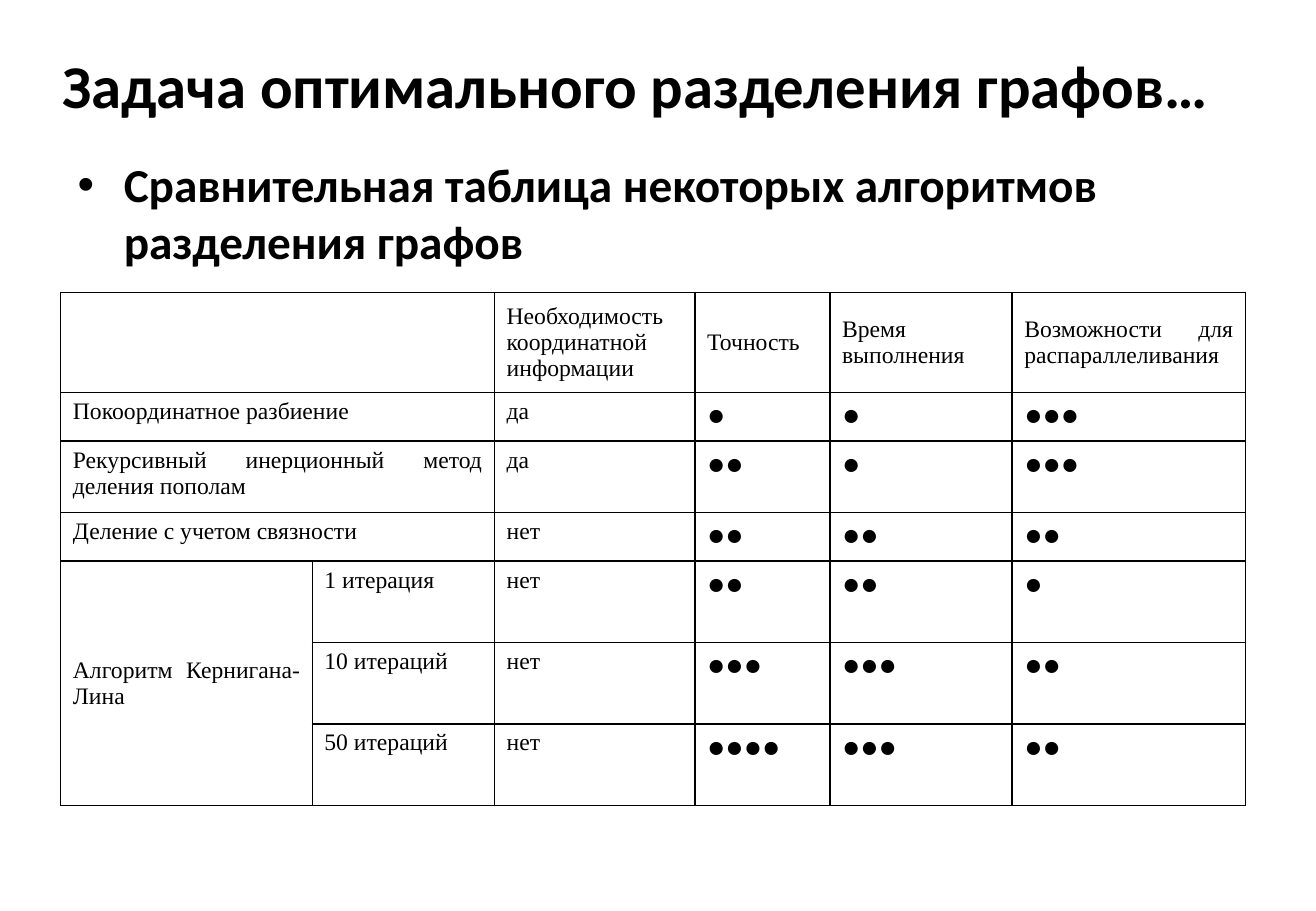
from lxml.etree import SubElement
from pptx import Presentation
from pptx.dml.color import RGBColor
from pptx.enum.text import MSO_ANCHOR, PP_ALIGN
from pptx.oxml.ns import qn
from pptx.util import Inches, Pt

COLORS = {"text": "000000", "border": "000000", "background": "FFFFFF"}
COL_WIDTHS = [2.07, 1.5, 1.65, 1.11, 1.5, 1.92]
ROW_HEIGHTS = [0.82, 0.39, 0.59, 0.39, 0.67, 0.67, 0.67]
HEADERS = ["", "", "Необходимость координатной информации", "Точность",
           "Время выполнения", "Возможности для распараллеливания"]
ALGORITHMS = [
    ("Покоординатное разбиение", "", "да", 1, 1, 3),
    ("Рекурсивный инерционный метод деления пополам", "", "да", 2, 1, 3),
    ("Деление с учетом связности", "", "нет", 2, 2, 2),
    ("Алгоритм Кернигана-Лина", "1 итерация", "нет", 2, 2, 1),
    ("", "10 итераций", "нет", 3, 3, 2),
    ("", "50 итераций", "нет", 4, 3, 2),
]


def add_run(p, text, size, font, bold=False):
    """Append a formatted run to a paragraph."""
    r = p.add_run()
    r.text = text
    r.font.size = Pt(size)
    r.font.name = font
    r.font.bold = bold
    r.font.color.rgb = RGBColor.from_string(COLORS["text"])


def add_text_box(s, box):
    """Add a wrapping text box and return its text frame."""
    tf = s.shapes.add_textbox(*map(Inches, box)).text_frame
    tf.word_wrap = True
    return tf


def add_title(s, box, text):
    """Add the centred slide title."""
    tf = add_text_box(s, box)
    tf.vertical_anchor = MSO_ANCHOR.MIDDLE
    p = tf.paragraphs[0]
    p.alignment = PP_ALIGN.CENTER
    add_run(p, text, 36, "Calibri", True)


def add_bullet(s, box, text):
    """Add the bulleted statement with a hanging indent."""
    p = add_text_box(s, box).paragraphs[0]
    add_run(p, text, 28, "Calibri", True)
    pPr = p._p.get_or_add_pPr()
    pPr.set("marL", str(Inches(0.38)))
    pPr.set("indent", str(Inches(-0.38)))
    SubElement(pPr, qn("a:buFont"), typeface="Arial")
    SubElement(pPr, qn("a:buChar"), char="•")


def style_cell(cell):
    """Give a cell thin borders on all sides and no fill."""
    tcPr = cell._tc.get_or_add_tcPr()
    for side in ("lnL", "lnR", "lnT", "lnB"):
        ln = SubElement(tcPr, qn(f"a:{side}"), w=str(Pt(1)))
        fill = SubElement(ln, qn("a:solidFill"))
        SubElement(fill, qn("a:srgbClr"), val=COLORS["border"])
    cell.fill.background()


def add_comparison_table(s, box):
    """Add the table that compares partitioning algorithms."""
    rows = [HEADERS, *ALGORITHMS]
    table = s.shapes.add_table(len(rows), len(HEADERS), *map(Inches, box)).table
    table.first_row = table.horz_banding = False
    for col, width in zip(table.columns, COL_WIDTHS):
        col.width = Inches(width)
    for row, height in zip(table.rows, ROW_HEIGHTS):
        row.height = Inches(height)
    for i, values in enumerate(rows):
        for j, value in enumerate(values):
            cell = table.cell(i, j)
            style_cell(cell)
            if i == 0:
                cell.vertical_anchor = MSO_ANCHOR.MIDDLE
            if not value:
                continue
            rating = isinstance(value, int)
            p = cell.text_frame.paragraphs[0]
            p.alignment = PP_ALIGN.JUSTIFY
            add_run(p, "●" * value if rating else value,
                    18 if rating else 14, "Times New Roman")
    for i in range(4):
        table.cell(i, 0).merge(table.cell(i, 1))
    table.cell(4, 0).merge(table.cell(6, 0))
    table.cell(4, 0).vertical_anchor = MSO_ANCHOR.MIDDLE


def build_slide(prs):
    """Build the graph partitioning slide."""
    s = prs.slides.add_slide(prs.slide_layouts[6])
    s.background.fill.solid()
    s.background.fill.fore_color.rgb = RGBColor.from_string(COLORS["background"])
    add_bullet(s, (0.54, 1.23, 9.75, 1.19),
               "Сравнительная таблица некоторых алгоритмов разделения графов")
    add_comparison_table(s, (0.5, 2.41, 9.75, 4.2))
    add_title(s, (0.17, 0.3, 10.12, 0.78), "Задача оптимального разделения графов…")


prs = Presentation()
prs.slide_width = Inches(10.83)
prs.slide_height = Inches(7.5)
build_slide(prs)
prs.save("out.pptx")
